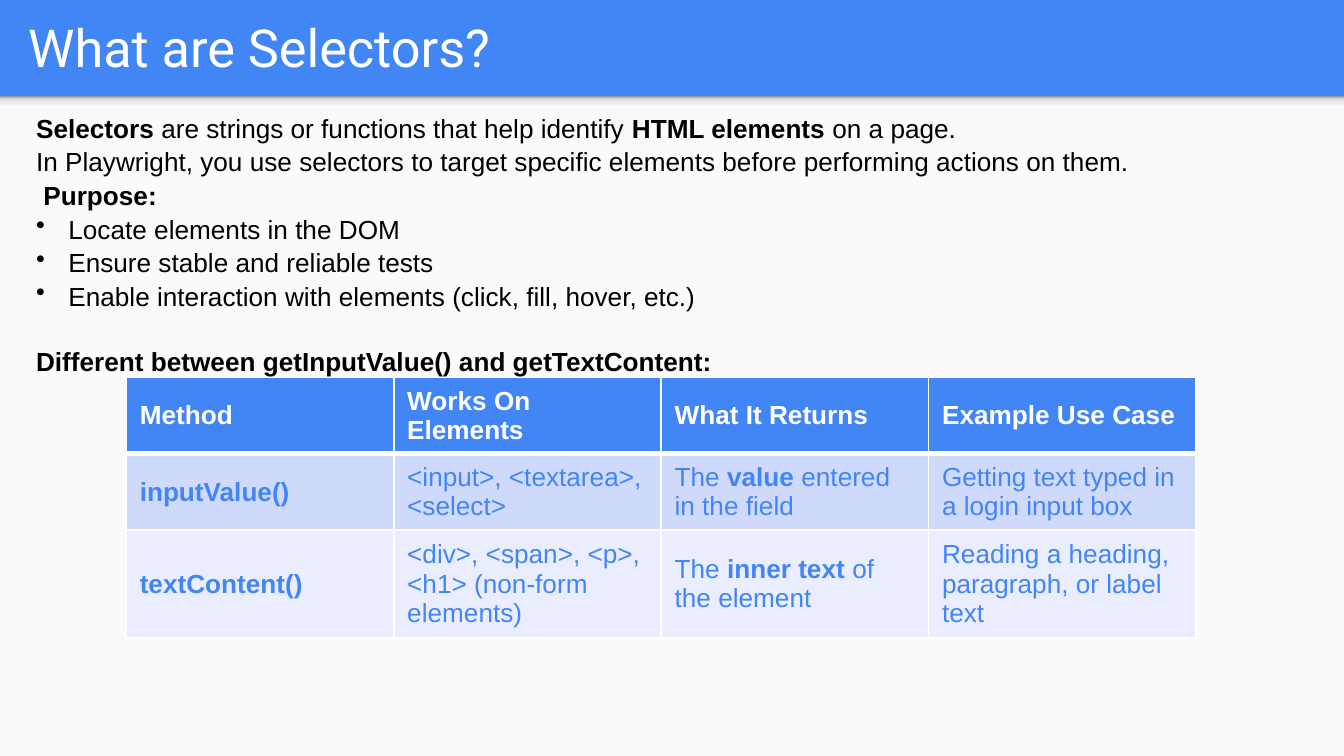
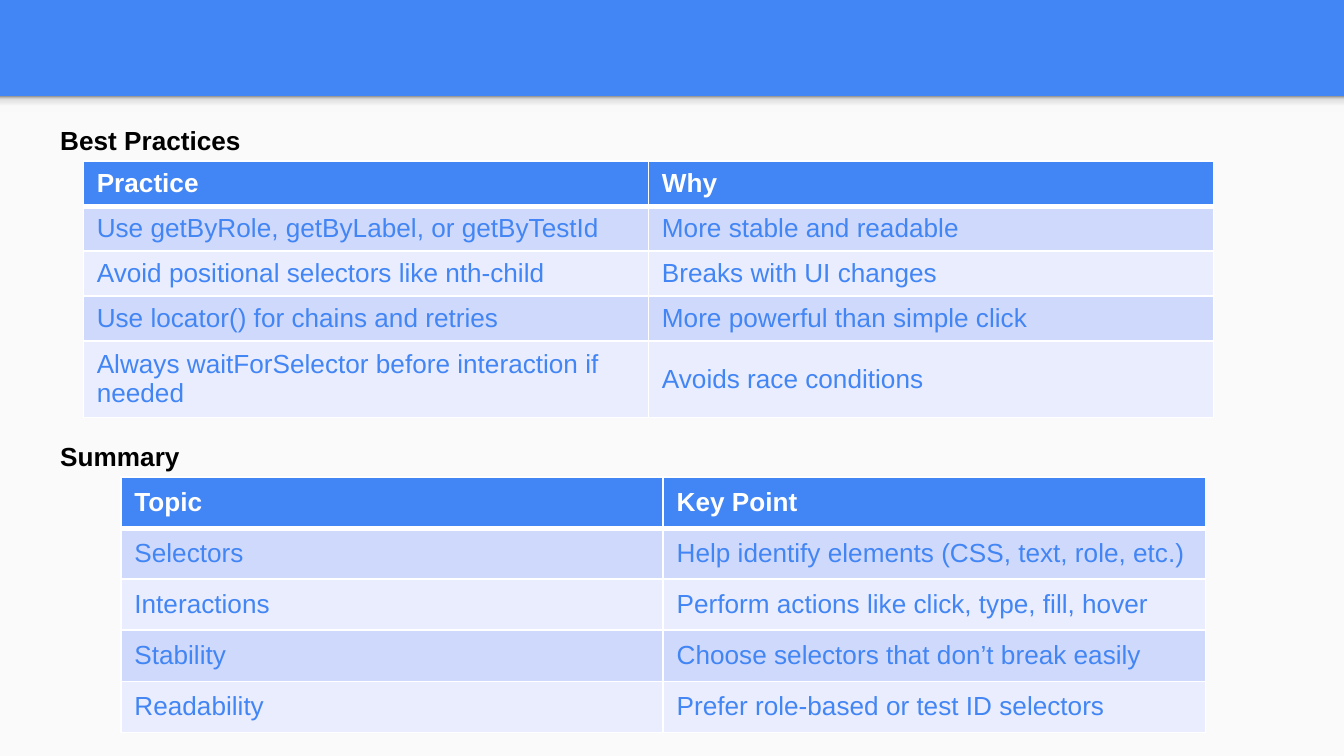
import pptx
import pptx.util
import pptx.dml.color
import pptx.enum.shapes
import pptx.enum.text
import pptx.oxml
import pptx.oxml.ns
import lxml.etree

Inches, Pt = pptx.util.Inches, pptx.util.Pt
qn = pptx.oxml.ns.qn

# Shared look
BLUE, WHITE, BLACK, PANEL = "4285F4", "FFFFFF", "000000", "FAFAFA"
ROW_FILLS = ("CFD9FB", "E9EDFD")
SHADE_STOPS = ((0, "F9F9F9"), (36, "F9F9F9"), (80, "DEDEDE"), (100, "999999"))
WIDTH = 10
HEIGHT = WIDTH * 9 / 16
PANEL_HEIGHT, SHADE_HEIGHT = 4.91, 0.12
TEXT_SIZE, LINE_SPACING, LINE = 14, 1.07, 16.8
BULLET_INDENT = 0.24
THIN, THICK = 1, 3

# Content: text between ** marks is bold; a paragraph is (text, bulleted, empty lines above)
SLIDES = [
    {
        "title": "What are Selectors?",
        "body_at": (0.17, 0.77, 9.65, 2.46),
        "body": [
            ("**Selectors** are strings or functions that help identify **HTML elements** on a page.", False, 0),
            ("In Playwright, you use selectors to target specific elements before performing actions on them.",
             False, 0),
            ("** Purpose:**", False, 0),
            ("Locate elements in the DOM", True, 0),
            ("Ensure stable and reliable tests", True, 0),
            ("Enable interaction with elements (click, fill, hover, etc.)", True, 0),
            ("**Different between getInputValue() and getTextContent:**", False, 1),
        ],
        "tables": [
            {
                "at": (0.94, 2.81, 7.96, 1.93),
                "row_heights": [0.41] * 3,
                "rows": [
                    ("**Method**", "**Works On Elements**", "**What It Returns**", "**Example Use Case**"),
                    ("**inputValue()**", "<input>, <textarea>, <select>",
                     "The **value** entered in the field", "Getting text typed in a login input box"),
                    ("**textContent()**", "<div>, <span>, <p>, <h1> (non-form elements)",
                     "The **inner text** of the element", "Reading a heading, paragraph, or label text"),
                ],
            },
        ],
    },
    {
        "title": None,
        "body_at": (0.35, 0.86, 9.36, 4.34),
        "body": [("**Best Practices**", False, 0), ("**Summary**", False, 9)],
        "tables": [
            {
                "at": (0.62, 1.2, 8.41, 1.91),
                "row_heights": [0.33] * 4 + [0.57],
                "rows": [
                    ("**Practice**", "**Why**"),
                    ("Use getByRole, getByLabel, or getByTestId", "More stable and readable"),
                    ("Avoid positional selectors like nth-child", "Breaks with UI changes"),
                    ("Use locator() for chains and retries", "More powerful than simple click"),
                    ("Always waitForSelector before interaction if needed", "Avoids race conditions"),
                ],
            },
            {
                "at": (0.9, 3.55, 8.07, 1.9),
                "row_heights": [0.38] * 5,
                "rows": [
                    ("**Topic**", "**Key Point**"),
                    ("Selectors", "Help identify elements (CSS, text, role, etc.)"),
                    ("Interactions", "Perform actions like click, type, fill, hover"),
                    ("Stability", "Choose selectors that don’t break easily"),
                    ("Readability", "Prefer role-based or test ID selectors"),
                ],
            },
        ],
    },
]


def rgb(code):
    return pptx.dml.color.RGBColor.from_string(code)


def box(at):
    return [Inches(length) for length in at]


def paint(fill, code):
    fill.solid()
    fill.fore_color.rgb = rgb(code)


def set_font(font, name, size, code):
    font.name, font.size = name, Pt(size)
    font.color.rgb = rgb(code)


def write(paragraph, marked, code):
    """Fill a paragraph, with the parts between ** marks in bold."""
    set_font(paragraph.font, "Arial", TEXT_SIZE, code)
    for index, part in enumerate(marked.split("**")):
        if part:
            run = paragraph.add_run()
            run.text = part
            run.font.bold = index % 2 == 1


def add_bullet(paragraph):
    properties = paragraph._p.get_or_add_pPr()
    properties.set("marL", str(Inches(BULLET_INDENT)))
    properties.set("indent", str(-Inches(BULLET_INDENT)))
    bullet = pptx.oxml.parse_xml(
        f'<a:buChar {pptx.oxml.ns.nsdecls("a")} char="•"/>')
    # Bullets stand before the default run properties
    properties.find(qn("a:defRPr")).addprevious(bullet)


def add_border(cell, side, width):
    line = lxml.etree.SubElement(
        cell._tc.get_or_add_tcPr(), qn(f"a:ln{side}"), w=str(Pt(width)))
    color = lxml.etree.SubElement(line, qn("a:solidFill"))
    lxml.etree.SubElement(color, qn("a:srgbClr"), val=WHITE)


def add_panel(slide):
    """Light panel below the blue band, with a shade along its top edge."""
    top = HEIGHT - PANEL_HEIGHT
    panel, shade = [slide.shapes.add_shape(
        pptx.enum.shapes.MSO_SHAPE.RECTANGLE, *box((0, top, WIDTH, height)))
        for height in (PANEL_HEIGHT, SHADE_HEIGHT)]
    for part in (panel, shade):
        part.shadow.inherit = False
        part.line.fill.background()
    paint(panel.fill, PANEL)
    shade.fill.gradient()
    shade.fill.gradient_angle = 90
    stops = shade._element.spPr.find(".//" + qn("a:gsLst"))
    for stop in list(stops):
        stops.remove(stop)
    for position, code in SHADE_STOPS:
        stop = lxml.etree.SubElement(stops, qn("a:gs"), pos=str(position * 1000))
        lxml.etree.SubElement(stop, qn("a:srgbClr"), val=code)


def add_title(slide, text):
    title = slide.shapes.title
    title.left, title.top, title.width, title.height = box((0.11, 0.02, 9.65, 0.66))
    frame = title.text_frame
    frame.text = text
    frame.vertical_anchor = pptx.enum.text.MSO_ANCHOR.MIDDLE
    frame.margin_left = frame.margin_right = frame.margin_top = frame.margin_bottom = Inches(0.1)
    frame.paragraphs[0].alignment = pptx.enum.text.PP_ALIGN.LEFT
    set_font(frame.paragraphs[0].font, "Roboto", 28, WHITE)


def add_body(slide, at, lines):
    frame = slide.shapes.add_textbox(*box(at)).text_frame
    frame.word_wrap = True
    for index, (marked, bulleted, gap) in enumerate(lines):
        paragraph = frame.add_paragraph() if index else frame.paragraphs[0]
        write(paragraph, marked, BLACK)
        paragraph.line_spacing = LINE_SPACING
        paragraph.space_before = Pt(gap * LINE)
        if bulleted:
            add_bullet(paragraph)


def add_grid(slide, at, row_heights, rows):
    holder = slide.shapes.add_table(len(rows), len(rows[0]), *box(at))
    grid = holder.table
    for row, height in zip(grid.rows, row_heights):
        row.height = Inches(height)
    holder.height = Inches(at[3])
    for r, texts in enumerate(rows):
        for c, marked in enumerate(texts):
            cell = grid.cell(r, c)
            cell.vertical_anchor = pptx.enum.text.MSO_ANCHOR.MIDDLE
            # A thick line parts the header from the rows
            borders = {"L": THIN, "R": THIN, "T": THICK if r == 1 else THIN,
                       "B": THIN if r else THICK}
            for side, width in borders.items():
                add_border(cell, side, width)
            paint(cell.fill, ROW_FILLS[(r - 1) % 2] if r else BLUE)
            write(cell.text_frame.paragraphs[0], marked, BLUE if r else WHITE)


def main():
    deck = pptx.Presentation()
    deck.slide_width, deck.slide_height = Inches(WIDTH), Inches(HEIGHT)
    paint(deck.slide_master.background.fill, BLUE)
    title_only, blank = deck.slide_layouts[5], deck.slide_layouts[6]
    for content in SLIDES:
        slide = deck.slides.add_slide(title_only if content["title"] else blank)
        add_panel(slide)
        if content["title"]:
            add_title(slide, content["title"])
        add_body(slide, content["body_at"], content["body"])
        for table in content["tables"]:
            add_grid(slide, **table)
    deck.save("out.pptx")


if __name__ == "__main__":
    main()
